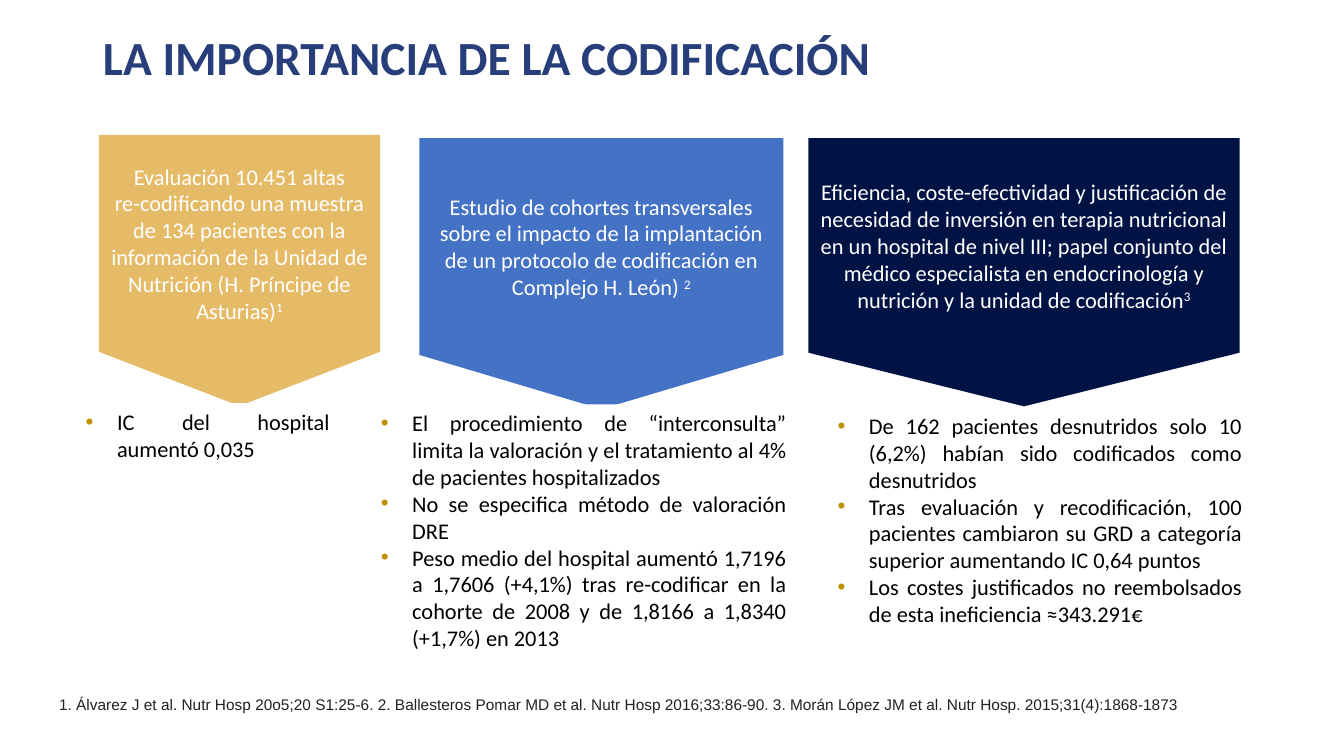
from lxml.etree import SubElement
from pptx import Presentation
from pptx.dml.color import RGBColor
from pptx.enum.shapes import MSO_SHAPE
from pptx.enum.text import MSO_ANCHOR, PP_ALIGN
from pptx.oxml.ns import qn
from pptx.util import Cm, Pt

TITLE = "LA IMPORTANCIA DE LA CODIFICACIÓN"
REFERENCES = (
    "1. Álvarez J et al. Nutr Hosp 20o5;20 S1:25-6. "
    "2. Ballesteros Pomar MD et al. Nutr Hosp 2016;33:86-90. "
    "3. Morán López JM et al. Nutr Hosp. 2015;31(4):1868-1873"
)
# Boxes are left, top, width, height in cm
STUDIES = [
    {
        "color": "E5BB67",
        "banner": (2.49, 3.4, 7.09, 6.83),
        "heading": [
            "Evaluación 10.451 altas",
            "re-codificando una muestra de 134 pacientes con la información de "
            "la Unidad de Nutrición (H. Príncipe de Asturias)",
        ],
        "findings_box": (1.12, 10.16, 7.44, 1.63),
        "findings": ["IC del hospital aumentó 0,035"],
    },
    {
        "color": "4472C4",
        "banner": (10.57, 3.48, 9.17, 6.83),
        "heading": [
            "Estudio de cohortes transversales sobre el impacto de la implantación "
            "de un protocolo de codificación en Complejo H. León) ",
        ],
        "findings_box": (8.56, 10.19, 11.51, 6.4),
        "findings": [
            "El procedimiento de “interconsulta” limita la valoración y el "
            "tratamiento al 4% de pacientes hospitalizados",
            "No se especifica método de valoración DRE",
            "Peso medio del hospital aumentó 1,7196 a 1,7606 (+4,1%) tras "
            "re-codificar en la cohorte de 2008 y de 1,8166 a 1,8340 (+1,7%) en 2013",
        ],
    },
    {
        "color": "001344",
        "banner": (20.37, 3.48, 10.87, 6.76),
        "heading": [
            "Eficiencia, coste-efectividad y justificación de necesidad de inversión "
            "en terapia nutricional en un hospital de nivel III; papel conjunto del "
            "médico especialista en endocrinología y nutrición y la unidad de "
            "codificación",
        ],
        "findings_box": (20.07, 10.26, 11.48, 5.74),
        "findings": [
            "De 162 pacientes desnutridos solo 10 (6,2%) habían sido codificados "
            "como desnutridos",
            "Tras evaluación y recodificación, 100 pacientes cambiaron su GRD a "
            "categoría superior aumentando IC 0,64 puntos",
            "Los costes justificados no reembolsados de esta ineficiencia ≈343.291€",
        ],
    },
]


def rgb(color):
    return RGBColor.from_string(color)


def cm_box(box):
    return [Cm(v) for v in box]


def add_run(p, text, color, size=16, name="Calibri", bold=False):
    r = p.add_run()
    r.text = text
    r.font.color.rgb = rgb(color)
    for key, value in {"size": Pt(size), "name": name, "bold": bold}.items():
        setattr(r.font, key, value)
    return r


def add_bullet(p):
    pPr = p._p.get_or_add_pPr()
    pPr.set("marL", str(Cm(1.58)))
    pPr.set("indent", str(-Cm(0.79)))
    color = SubElement(pPr, qn("a:buClr"))
    SubElement(color, qn("a:srgbClr"), val="BF9000")
    SubElement(pPr, qn("a:buFont"), typeface="Arial")
    SubElement(pPr, qn("a:buChar"), char="•")


def add_panel(s, kind, box, color, anchor, lines, align, text_color, bullets=False):
    """Add a filled shape with one paragraph per line; return its last paragraph."""
    sp = s.shapes.add_shape(kind, *cm_box(box))
    sp.shadow.inherit = False
    sp.fill.solid()
    sp.fill.fore_color.rgb = rgb(color)
    sp.line.fill.background()
    tf = sp.text_frame
    tf.word_wrap = True
    tf.vertical_anchor = anchor
    for i, line in enumerate(lines):
        p = tf.add_paragraph() if i else tf.paragraphs[0]
        p.alignment = align
        if bullets:
            add_bullet(p)
        add_run(p, line, text_color)
    return p


def main():
    prs = Presentation()
    prs.slide_width, prs.slide_height = Cm(33.87), Cm(19.05)
    s = prs.slides.add_slide(prs.slide_layouts[5])

    title = s.shapes.title
    title.left, title.top, title.width, title.height = cm_box((2.34, 0.38, 29.21, 2.29))
    title.text_frame.vertical_anchor = MSO_ANCHOR.MIDDLE
    p = title.text_frame.paragraphs[0]
    p.alignment = PP_ALIGN.LEFT
    p.line_spacing = 0.9
    add_run(p, TITLE, "273E7A", 34, bold=True)

    for number, study in enumerate(STUDIES, 1):
        p = add_panel(s, MSO_SHAPE.FLOWCHART_OFFPAGE_CONNECTOR, study["banner"],
                      study["color"], MSO_ANCHOR.MIDDLE, study["heading"],
                      PP_ALIGN.CENTER, "FFFFFF")
        mark = add_run(p, str(number), "FFFFFF")
        mark._r.get_or_add_rPr().set("baseline", "30000")
        add_panel(s, MSO_SHAPE.RECTANGLE, study["findings_box"], "FFFFFF",
                  MSO_ANCHOR.TOP, study["findings"], PP_ALIGN.JUSTIFY, "000000",
                  bullets=True)

    footer = s.shapes.add_textbox(*cm_box((1.24, 17.4, 31.52, 0.74)))
    footer.text_frame.word_wrap = True
    add_run(footer.text_frame.paragraphs[0], REFERENCES, "212121", 11, "Arial")

    prs.save("out.pptx")


if __name__ == "__main__":
    main()
